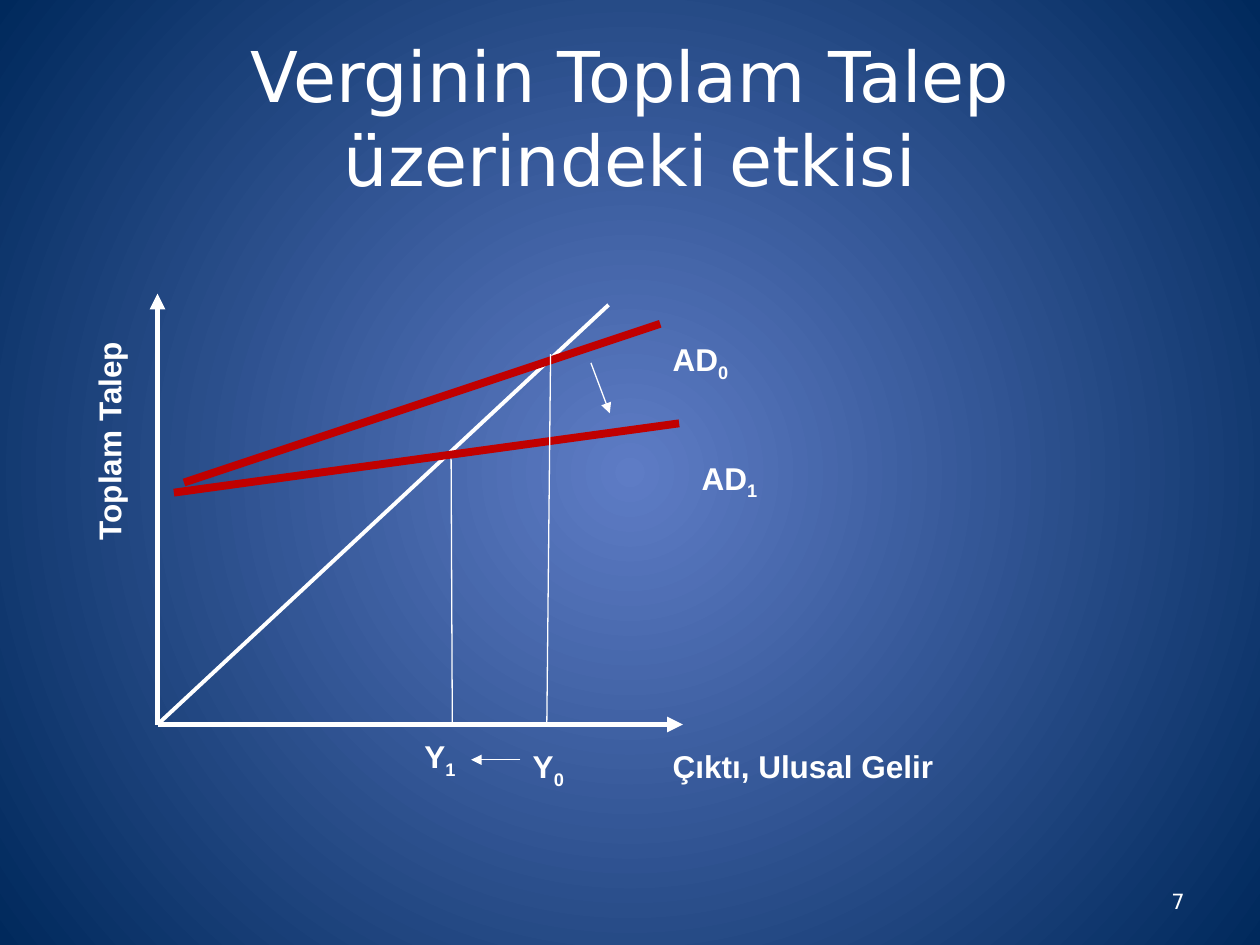
import lxml.etree
import pptx
import pptx.dml.color
import pptx.enum.dml
import pptx.enum.shapes
import pptx.enum.text
import pptx.oxml.ns
import pptx.util

PX = 9144
WHITE = pptx.dml.color.RGBColor(0xFF, 0xFF, 0xFF)
RED = pptx.dml.color.RGBColor(0xC0, 0x00, 0x00)
GLOW_BLUE = pptx.dml.color.RGBColor(0x5E, 0x7C, 0xC5)
DEEP_BLUE = pptx.dml.color.RGBColor(0x00, 0x29, 0x5C)
ALIGN = pptx.enum.text.PP_ALIGN
qn = pptx.oxml.ns.qn

presentation = pptx.Presentation()
presentation.slide_width = 1000 * PX
presentation.slide_height = 750 * PX
slide = presentation.slides.add_slide(presentation.slide_layouts[6])

background = slide.background.fill
background.gradient()
for stop, position, color in zip(background.gradient_stops, (0, 1), (GLOW_BLUE, DEEP_BLUE)):
    stop.position = position
    stop.color.rgb = color
gradient = slide.element.find(".//" + qn("a:gradFill"))
gradient.remove(gradient.find(qn("a:lin")))
circle = lxml.etree.SubElement(gradient, qn("a:path"), path="circle")
lxml.etree.SubElement(circle, qn("a:fillToRect"), l="50000", t="50000", r="50000", b="50000")


def add_text(left, top, width, height, text, size, font_name, bold=False, subscript=""):
    shape = slide.shapes.add_textbox(left * PX, top * PX, width * PX, height * PX)
    paragraph = shape.text_frame.paragraphs[0]
    for content in filter(None, (text, subscript)):
        run = paragraph.add_run()
        run.text = content
        run.font.name = font_name
        run.font.size = pptx.util.Pt(size)
        run.font.bold = bold
        run.font.color.rgb = WHITE
    if subscript:
        run._r.get_or_add_rPr().set("baseline", "-25000")
    return shape


def add_line(start, end, color, width, arrow=False):
    line = slide.shapes.add_connector(
        pptx.enum.shapes.MSO_CONNECTOR.STRAIGHT, *(value * PX for value in start + end)
    )
    line.line.color.rgb = color
    line.line.width = pptx.util.Pt(width)
    if arrow:
        lxml.etree.SubElement(line.line._get_or_add_ln(), qn("a:tailEnd"), type="triangle")
    lxml.etree.SubElement(line._element.spPr, qn("a:effectLst"))


title = add_text(50, 30, 900, 125, "Verginin Toplam Talep üzerindeki etkisi", 40, "DejaVu Sans")
slide_number = add_text(717, 695, 233, 40, "7", 12, "DejaVu Sans")
for shape, alignment in ((title, ALIGN.CENTER), (slide_number, ALIGN.RIGHT)):
    shape.text_frame.word_wrap = True
    shape.text_frame.vertical_anchor = pptx.enum.text.MSO_ANCHOR.MIDDLE
    shape.text_frame.paragraphs[0].alignment = alignment

origin = (125, 575)
for end in ((125, 233), (542, 575)):
    add_line(origin, end, WHITE, 3, arrow=True)
add_line(origin, (483, 242), WHITE, 2.25)
add_line((358, 359), (359, 575), WHITE, 0.75)
for start, end in (((138, 391), (539, 336)), ((146, 383), (524, 257))):
    add_line(start, end, RED, 4.5)
add_line((437, 281), (434, 575), WHITE, 0.75)
for start, end in (((469, 288), (484, 328)), ((413, 603), (374, 603))):
    add_line(start, end, WHITE, 0.75, arrow=True)

labels = (
    (327, 580, 46, "Y", "1", 0),
    (413, 588, 46, "Y", "0", 0),
    (547, 359, 65, "AD", "1", 0),
    (524, 265, 65, "AD", "0", 0),
    (524, 588, 227, "Çıktı, Ulusal Gelir", "", 0),
    (-4, 328, 181, "Toplam Talep", "", 270),
)
for left, top, width, text, subscript, rotation in labels:
    label = add_text(left, top, width, 40, text, 18, "Arial", True, subscript)
    label.text_frame.word_wrap = False
    label.text_frame.auto_size = pptx.enum.text.MSO_AUTO_SIZE.SHAPE_TO_FIT_TEXT
    label.rotation = rotation

presentation.save("out.pptx")
